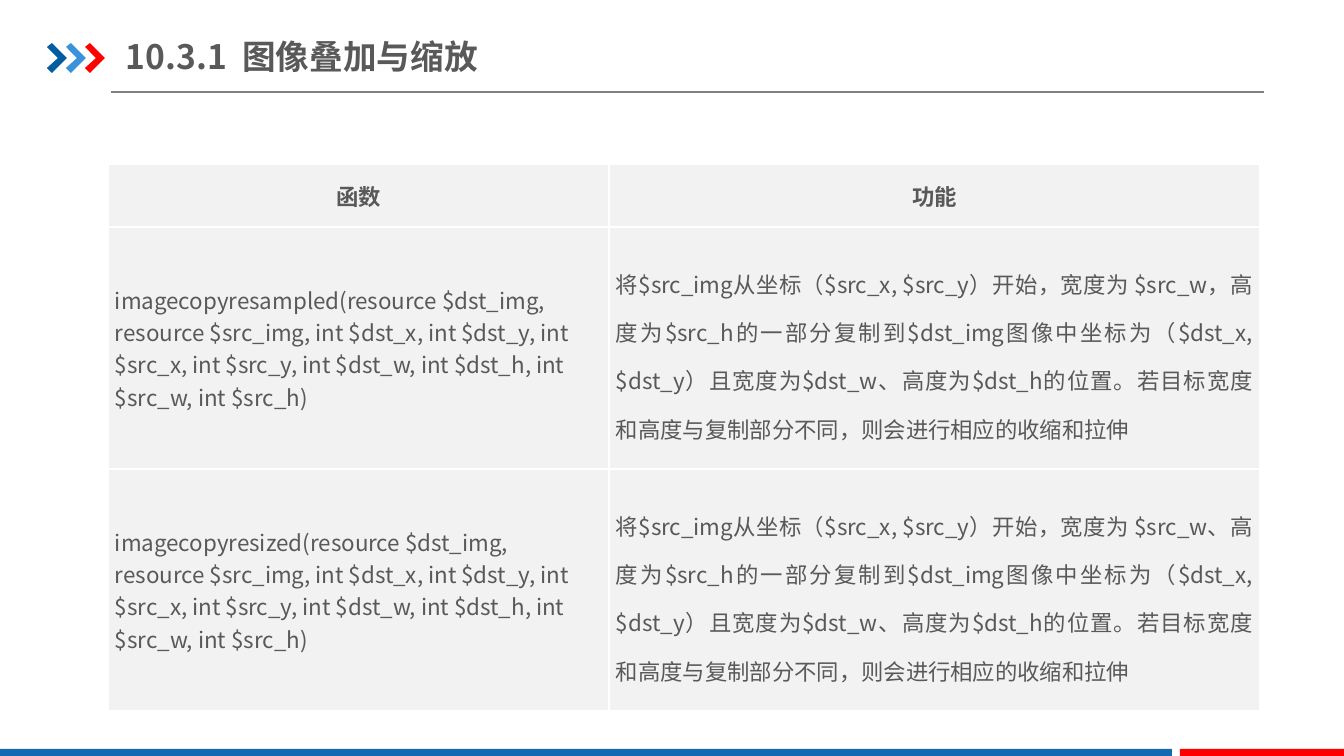
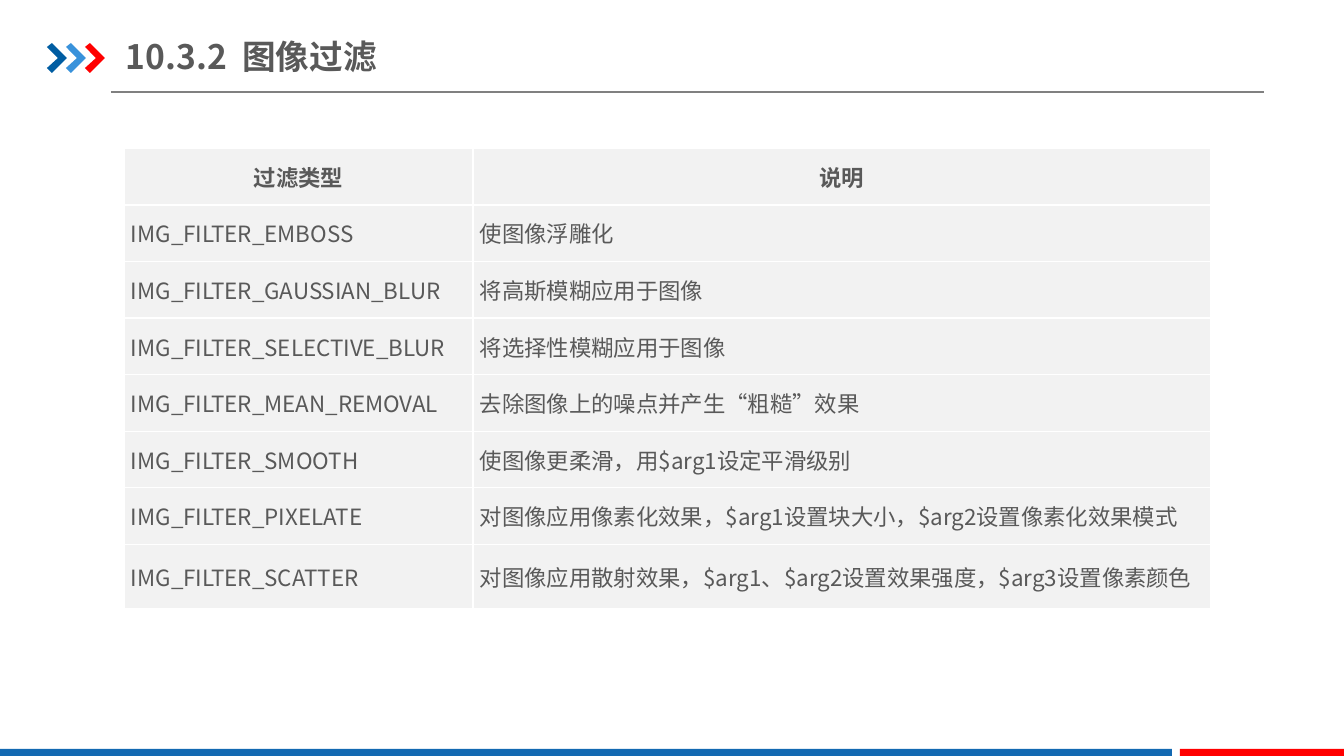
from dataclasses import dataclass

from lxml.etree import SubElement
from pptx import Presentation
from pptx.dml.color import RGBColor
from pptx.enum.shapes import MSO_CONNECTOR, MSO_SHAPE
from pptx.enum.text import MSO_ANCHOR, MSO_AUTO_SIZE, PP_ALIGN
from pptx.oxml import parse_xml
from pptx.oxml.ns import nsdecls, qn
from pptx.slide import Slide, SlideLayout
from pptx.table import _Cell
from pptx.text.text import TextFrame
from pptx.util import Emu, Pt

PAGE_WIDTH, PAGE_HEIGHT = 1344, 756
EMU_PER_PX = 12192000 / PAGE_WIDTH

WHITE = RGBColor(0xFF, 0xFF, 0xFF)
CELL_GRAY = RGBColor(0xF2, 0xF2, 0xF2)
TEXT_GRAY = RGBColor(0x59, 0x59, 0x59)
RULE_GRAY = RGBColor(0x80, 0x80, 0x80)
DARK_BLUE = RGBColor(0x00, 0x5D, 0xA2)
LIGHT_BLUE = RGBColor(0x39, 0x92, 0xDB)
BAND_BLUE = RGBColor(0x13, 0x69, 0xB2)
RED = RGBColor(0xFF, 0x00, 0x00)
FONT = "Noto Sans CJK SC"

CHEVRON_COLORS = (DARK_BLUE, LIGHT_BLUE, RED)
CHEVRON_LEFT, CHEVRON_TOP, CHEVRON_PITCH = 47, 43, 19
CHEVRON_OUTLINE = ((0, 4), (5, 0), (20, 15), (5, 30), (0, 25), (11, 15))
BAND_TOP = 749
CELL_MARGIN = 7


@dataclass(frozen=True)
class Band:
    left: int
    width: int
    color: RGBColor


@dataclass(frozen=True)
class Column:
    heading: str
    width: int
    align: PP_ALIGN = PP_ALIGN.JUSTIFY
    line_spacing: float | None = None


@dataclass(frozen=True)
class TablePage:
    title: str
    left: int
    top: int
    header_height: int
    body_height: int
    columns: tuple[Column, ...]
    rows: tuple[tuple[str, ...], ...]


BANDS = (Band(0, 1172, BAND_BLUE), Band(1180, 164, RED))

PAGES = (
    TablePage(
        "10.3.1  图像叠加与缩放", 108, 164, 63, 342,
        (Column("函数", 501, PP_ALIGN.LEFT), Column("功能", 651, line_spacing=1.5)),
        (
            ("imagecopyresampled(resource $dst_img, resource $src_img, int $dst_x, "
             "int $dst_y, int $src_x, int $src_y, int $dst_w, int $dst_h, "
             "int $src_w, int $src_h)",
             "将$src_img从坐标（$src_x, $src_y）开始，宽度为 $src_w，高度为$src_h的一部分"
             "复制到$dst_img图像中坐标为（$dst_x, $dst_y）且宽度为$dst_w、高度为$dst_h的位置。"
             "若目标宽度和高度与复制部分不同，则会进行相应的收缩和拉伸"),
            ("imagecopyresized(resource $dst_img, resource $src_img, int $dst_x, "
             "int $dst_y, int $src_x, int $src_y, int $dst_w, int $dst_h, "
             "int $src_w, int $src_h)",
             "将$src_img从坐标（$src_x, $src_y）开始，宽度为 $src_w、高度为$src_h的一部分"
             "复制到$dst_img图像中坐标为（$dst_x, $dst_y）且宽度为$dst_w、高度为$dst_h的位置。"
             "若目标宽度和高度与复制部分不同，则会进行相应的收缩和拉伸"),
        ),
    ),
    TablePage(
        "10.3.2  图像过滤", 124, 148, 57, 396,
        (Column("过滤类型", 349), Column("说明", 738)),
        (
            ("IMG_FILTER_EMBOSS", "使图像浮雕化"),
            ("IMG_FILTER_GAUSSIAN_BLUR", "将高斯模糊应用于图像"),
            ("IMG_FILTER_SELECTIVE_BLUR", "将选择性模糊应用于图像"),
            ("IMG_FILTER_MEAN_REMOVAL", "去除图像上的噪点并产生“粗糙”效果"),
            ("IMG_FILTER_SMOOTH", "使图像更柔滑，用$arg1设定平滑级别"),
            ("IMG_FILTER_PIXELATE",
             "对图像应用像素化效果，$arg1设置块大小，$arg2设置像素化效果模式"),
            ("IMG_FILTER_SCATTER",
             "对图像应用散射效果，$arg1、$arg2设置效果强度，$arg3设置像素颜色"),
        ),
    ),
)


def px(length: float) -> Emu:
    return Emu(round(length * EMU_PER_PX))


def write(frame: TextFrame, text: str, *, size: int = 16, bold: bool = False,
          align: PP_ALIGN = PP_ALIGN.LEFT, line_spacing: float | None = None) -> None:
    para = frame.paragraphs[0]
    para.alignment = align
    para.line_spacing = line_spacing
    span = para.add_run()
    span.text = text
    span.font.size = Pt(size)
    span.font.bold = bold
    span.font.color.rgb = TEXT_GRAY
    span.font.name = FONT
    SubElement(span.font._element, qn("a:ea"), typeface=FONT)


def draw_chevrons(page: Slide) -> None:
    group = page.shapes.add_group_shape()
    for index, color in enumerate(CHEVRON_COLORS):
        left = CHEVRON_LEFT + index * CHEVRON_PITCH
        start, *others = [(left + x, CHEVRON_TOP + y) for x, y in CHEVRON_OUTLINE]
        builder = group.shapes.build_freeform(*start, scale=EMU_PER_PX)
        builder.add_line_segments(others, close=True)
        chevron = builder.convert_to_shape()
        chevron.shadow.inherit = False
        chevron.fill.solid()
        chevron.fill.fore_color.rgb = color
        chevron.line.fill.background()


def draw_bands(page: Slide) -> None:
    for band in BANDS:
        bar = page.shapes.add_shape(
            MSO_SHAPE.RECTANGLE, px(band.left), px(BAND_TOP),
            px(band.width), px(PAGE_HEIGHT - BAND_TOP))
        bar.shadow.inherit = False
        bar.fill.solid()
        bar.fill.fore_color.rgb = band.color
        bar.line.fill.background()


def draw_title_rule(page: Slide) -> None:
    rule = page.shapes.add_connector(
        MSO_CONNECTOR.STRAIGHT, px(111), px(92), px(1264), px(92))
    rule.line.color.rgb = RULE_GRAY
    rule.line.width = Pt(0.75)
    SubElement(rule.element.spPr, qn("a:effectLst"))


def furnish_layout(layout: SlideLayout, page: Slide) -> None:
    """Draw the shared parts on a page, then move them to its layout."""
    for placeholder in list(layout.placeholders):
        if placeholder.placeholder_format.idx != 0:
            layout.shapes.element.remove(placeholder.element)
    draw_title_rule(page)
    draw_chevrons(page)
    draw_bands(page)
    for shape in list(page.shapes):
        if not shape.is_placeholder:
            layout.shapes.element.append(shape.element)


def place_title(page: Slide, text: str) -> None:
    title = page.shapes.title
    title.left, title.top, title.width, title.height = map(px, (126, 29, 429, 55))
    frame = title.text_frame
    frame.word_wrap = True
    frame.auto_size = MSO_AUTO_SIZE.NONE
    frame.vertical_anchor = MSO_ANCHOR.MIDDLE
    frame.margin_left = frame.margin_right = 0
    frame.margin_top = frame.margin_bottom = px(7)
    write(frame, text, size=24, bold=True)


def format_cell(cell: _Cell) -> None:
    cell.fill.solid()
    cell.fill.fore_color.rgb = CELL_GRAY
    cell.vertical_anchor = MSO_ANCHOR.MIDDLE
    cell.margin_left = cell.margin_right = px(CELL_MARGIN)
    cell.margin_top = cell.margin_bottom = 0
    properties = cell._tc.get_or_add_tcPr()
    for index, side in enumerate(("lnL", "lnR", "lnT", "lnB")):
        properties.insert(index, parse_xml(
            f'<a:{side} {nsdecls("a")} w="{Pt(1)}"><a:solidFill>'
            f'<a:srgbClr val="{WHITE}"/></a:solidFill></a:{side}>'))


def draw_table(page: Slide, content: TablePage) -> None:
    table = page.shapes.add_table(
        len(content.rows) + 1, len(content.columns), px(content.left), px(content.top),
        px(sum(column.width for column in content.columns)),
        px(content.header_height + content.body_height)).table
    table.horz_banding = False
    for row in table.rows:
        row.height = px(content.body_height / len(content.rows))
    table.rows[0].height = px(content.header_height)
    for column_index, column in enumerate(content.columns):
        table.columns[column_index].width = px(column.width)
        heading = table.cell(0, column_index)
        format_cell(heading)
        write(heading.text_frame, column.heading, bold=True, align=PP_ALIGN.CENTER)
        for row_index, texts in enumerate(content.rows, start=1):
            cell = table.cell(row_index, column_index)
            format_cell(cell)
            write(cell.text_frame, texts[column_index], align=column.align,
                  line_spacing=column.line_spacing)


def main() -> None:
    deck = Presentation()
    deck.slide_width, deck.slide_height = px(PAGE_WIDTH), px(PAGE_HEIGHT)
    layout = deck.slide_layouts.get_by_name("Title Only")
    pages = [deck.slides.add_slide(layout) for _ in PAGES]
    furnish_layout(layout, pages[0])
    for page, content in zip(pages, PAGES):
        place_title(page, content.title)
        draw_table(page, content)
    deck.save("out.pptx")


if __name__ == "__main__":
    main()
